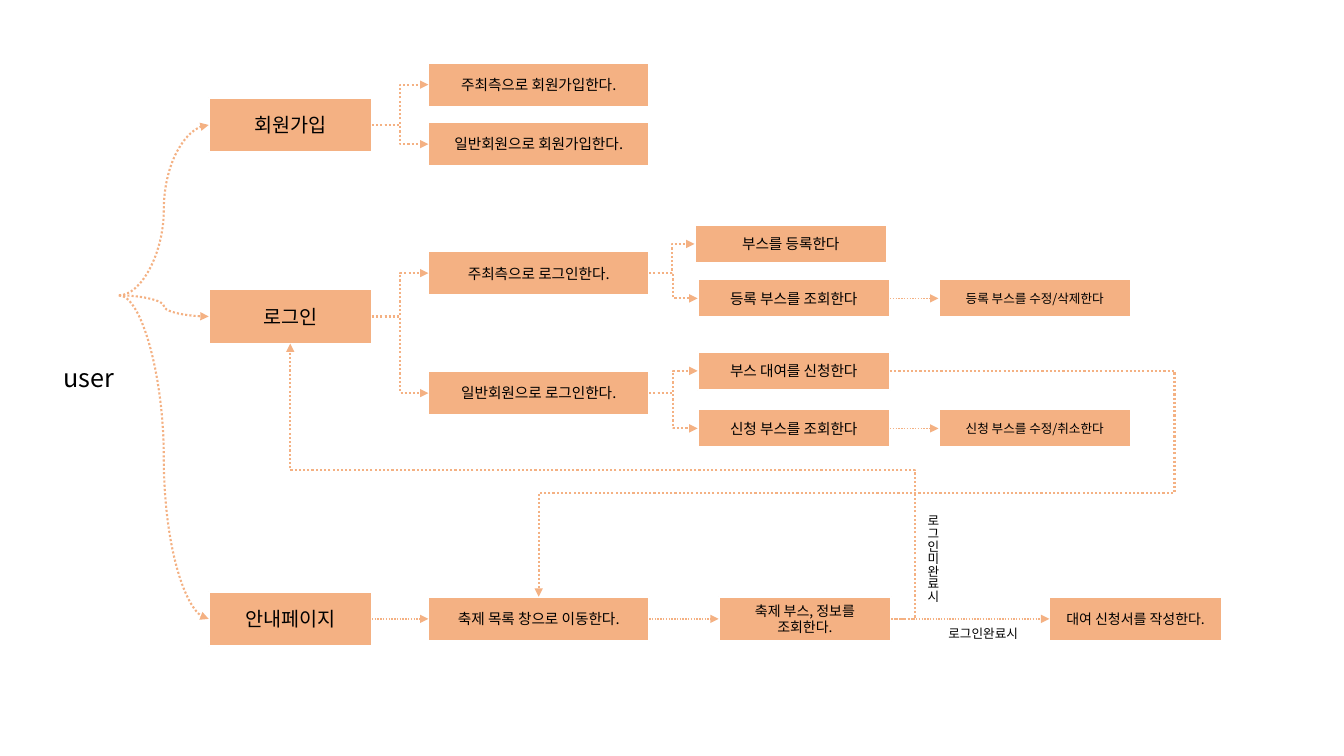
import pptx
import pptx.util
import pptx.dml.color
import pptx.enum.dml
import pptx.enum.shapes
import pptx.enum.text
import pptx.oxml
import pptx.oxml.ns

FONT = "Noto Sans CJK KR"
PEACH, WHITE, BLACK = "F4B183", "FFFFFF", "000000"
CELL = pptx.util.Inches(0.1)
TOP, LEFT, BOTTOM, RIGHT = range(4)
KIND = pptx.enum.shapes.MSO_CONNECTOR

# Columns: left, width, height in cells, then text size
STAGE = (0, 16.2, 5.4, 14)
STEP = (21.8, 21.9, 4.4, 10.5)
REGISTER = (48.2, 19.1, 3.8, 10.5)
TASK = (48.5, 19.1, 3.8, 10.5)
DETAIL = (72.4, 19.1, 3.8, 9)
VIEW = (50.6, 17.1, 4.4, 10)
FORM = (83.4, 17.1, 4.4, 10)


def cells(*counts):
    """Turn counts of grid cells into slide lengths."""
    return [round(count * CELL) for count in counts]


def color(value):
    """Return the colour for a hex string."""
    return pptx.dml.color.RGBColor.from_string(value)


def write(shape, text, size):
    """Put one paragraph of black text into a shape."""
    shape.text_frame.word_wrap = True
    para = shape.text_frame.paragraphs[0]
    para.text = text
    font = para.font
    font.name, font.size = FONT, pptx.util.Pt(size)
    font.color.rgb = color(BLACK)
    east_asian = pptx.oxml.parse_xml(
        f'<a:ea {pptx.oxml.ns.nsdecls("a")} typeface="{FONT}"/>')
    font._element.append(east_asian)
    return para


def add_label(page, box, text, size, vertical=False):
    """Add a plain text label, optionally set vertically."""
    label = page.shapes.add_textbox(*cells(*box))
    write(label, text, size)
    if vertical:
        label.text_frame._txBody.bodyPr.set("vert", "eaVert")


def add_node(page, box, column, middle, text):
    """Add a flow box in a column, centred on a row of the region."""
    left, width, height, size = column
    node = page.shapes.add_shape(
        pptx.enum.shapes.MSO_SHAPE.RECTANGLE,
        *cells(box[0] + left, box[1] + middle - height / 2, width, height))
    node.shadow.inherit = False
    node.fill.solid()
    node.fill.fore_color.rgb = color(PEACH)
    node.line.color.rgb = color(WHITE)
    node.line.width = pptx.util.Pt(1.5)
    node.text_frame.vertical_anchor = pptx.enum.text.MSO_ANCHOR.MIDDLE
    write(node, text, size).alignment = pptx.enum.text.PP_ALIGN.CENTER
    return node


def add_arrow(page, source, target, kind=KIND.ELBOW, side=LEFT, bends=()):
    """Join a node or a point to one side of a node with a dotted arrow."""
    from_point = isinstance(source, tuple)
    start = cells(*source) if from_point else (source.left, source.top)
    arrow = page.shapes.add_connector(kind, *start, target.left, target.top)
    if not from_point:
        arrow.begin_connect(source, RIGHT)
    arrow.end_connect(target, side)
    arrow.line.color.rgb = color(PEACH)
    arrow.line.width = pptx.util.Pt(1 if kind == KIND.STRAIGHT else 1.5)
    arrow.line.dash_style = pptx.enum.dml.MSO_LINE.ROUND_DOT
    names = pptx.oxml.ns.nsdecls("a")
    properties = arrow._element.spPr
    arrow.line._get_or_add_ln().append(
        pptx.oxml.parse_xml(f'<a:tailEnd {names} type="triangle"/>'))
    properties.append(pptx.oxml.parse_xml(f"<a:effectLst {names}/>"))
    if bends:
        geometry = properties.find(pptx.oxml.ns.qn("a:prstGeom"))
        geometry.set("prst", "bentConnector4")
        guides = "".join(
            f'<a:gd name="adj{number}" fmla="val {round(share * 100000)}"/>'
            for number, share in enumerate(bends, 1))
        for child in list(geometry):
            geometry.remove(child)
        geometry.append(
            pptx.oxml.parse_xml(f"<a:avLst {names}>{guides}</a:avLst>"))


def add_branches(page, box, source, branches):
    """Add a node for each branch and lead an elbow arrow to it."""
    nodes = [add_node(page, box, *branch) for branch in branches]
    for node in nodes:
        add_arrow(page, source, node)
    return nodes


def add_signup(page, box):
    """Draw the sign-up flow and return its stage."""
    stage = add_node(page, box, STAGE, 6.2, "회원가입")
    add_branches(page, box, stage, [
        (STEP, 2.2, "주최측으로 회원가입한다."),
        (STEP, 8.1, "일반회원으로 회원가입한다.")])
    return stage


def add_login(page, box):
    """Draw the login flow and return its stage and the rental request."""
    stage = add_node(page, box, STAGE, 9.1, "로그인")
    host, member = add_branches(page, box, stage, [
        (STEP, 4.8, "주최측으로 로그인한다."),
        (STEP, 16.7, "일반회원으로 로그인한다.")])
    _, registered = add_branches(page, box, host, [
        (REGISTER, 1.9, "부스를 등록한다"),
        (TASK, 7.3, "등록 부스를 조회한다")])
    request, requested = add_branches(page, box, member, [
        (TASK, 14.5, "부스 대여를 신청한다"),
        (TASK, 20.2, "신청 부스를 조회한다")])
    for source, middle, text in [
            (registered, 7.3, "등록 부스를 수정/삭제한다"),
            (requested, 20.2, "신청 부스를 수정/취소한다")]:
        detail = add_node(page, box, DETAIL, middle, text)
        add_arrow(page, source, detail, KIND.STRAIGHT)
    return stage, request


def add_guide(page, box):
    """Draw the guide page flow and return its first three nodes."""
    nodes = [add_node(page, box, column, 11.3, text) for column, text in [
        (STAGE, "안내페이지"),
        (STEP, "축제 목록 창으로 이동한다."),
        (VIEW, "축제 부스, 정보를 조회한다."),
        (FORM, "대여 신청서를 작성한다.")]]
    for source, target in zip(nodes, nodes[1:]):
        add_arrow(page, source, target, KIND.STRAIGHT)
    left, top = box
    add_label(page, (left + 69.6, top, 3.5, 15.5), "로그인미완료시", 9, True)
    add_label(page, (left + 72.4, top + 11.5, 11.3, 2.5), "로그인완료시", 9)
    return nodes[:3]


def main():
    """Build the user flow slide and save it."""
    deck = pptx.Presentation()
    deck.slide_width, deck.slide_height = cells(133.33, 75)
    page = deck.slides.add_slide(deck.slide_layouts[6])
    add_label(page, (5.3, 35.5, 8.8, 4), "user", 18)
    signup = add_signup(page, (20.7, 6.2))
    login, request = add_login(page, (20.7, 22.3))
    guide, listing, view = add_guide(page, (20.7, 50.1))
    for stage in (signup, login, guide):
        add_arrow(page, (11.8, 29.3), stage, KIND.CURVE)
    add_arrow(page, view, login, side=BOTTOM, bends=(-0.04, 0.54))
    add_arrow(page, request, listing, side=TOP, bends=(-0.81, 0.54))
    deck.save("out.pptx")


main()
